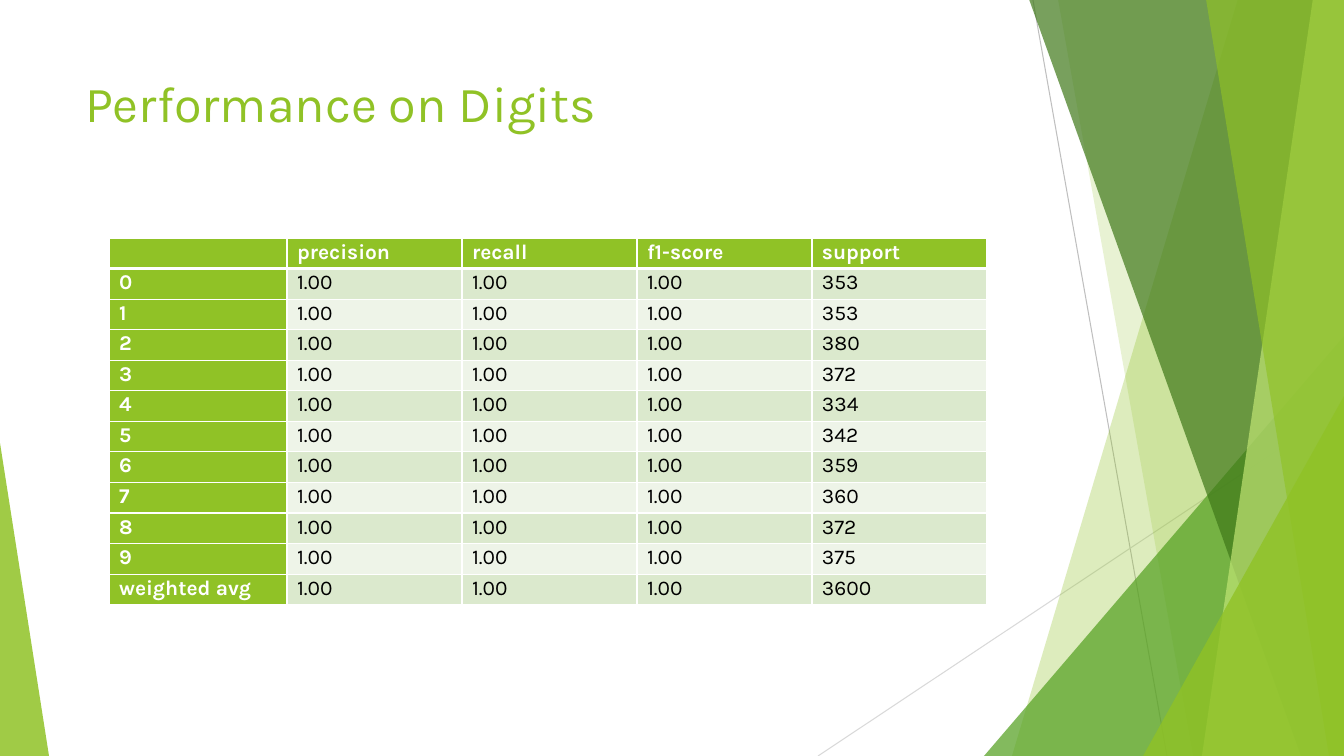
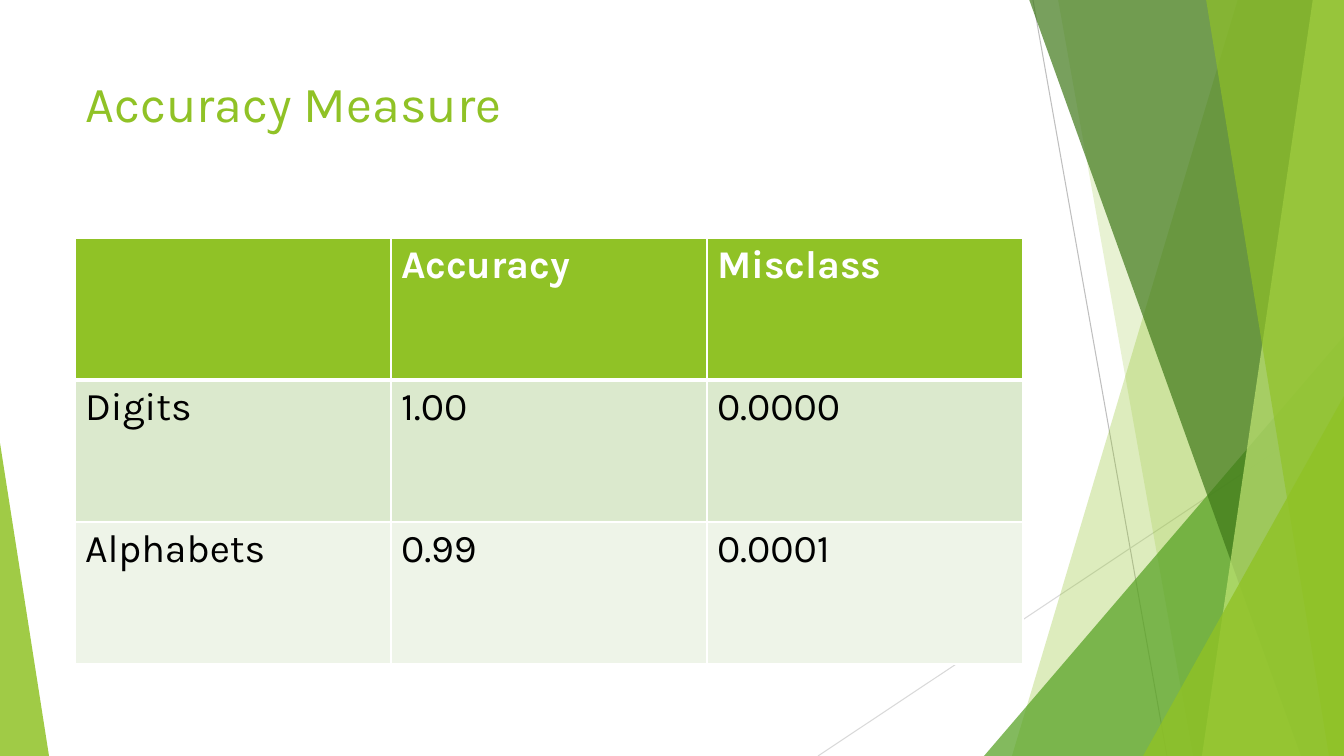
from dataclasses import dataclass

from lxml import etree
from pptx import Presentation
from pptx import util as u
from pptx.dml.color import RGBColor
from pptx.enum import shapes, text
from pptx.oxml.ns import qn

W, H = 1344, 756
SCALE = 12192000 / W  # EMU per px


@dataclass(frozen=True)
class Theme:
    font: str = "Karla"
    title_size: int = 36
    line_width: float = 0.75
    lime: str = "90C226"
    pale_lime: str = "C0E474"
    green: str = "54A021"
    dark_green: str = "3F7819"
    white: str = "FFFFFF"
    black: str = "000000"
    grey: str = "BFBFBF"
    light_grey: str = "D9D9D9"
    row_fills: tuple = ("DBE9CD", "EEF4E8")


T = Theme()


def px(n):
    return u.Emu(round(n * SCALE))


def add_run(p, words, size, color, bold=False):
    r = p.add_run()
    r.text = words
    r.font.name, r.font.size, r.font.bold = T.font, u.Pt(size), bold
    r.font.color.rgb = RGBColor.from_string(color)


prs = Presentation()
prs.slide_width, prs.slide_height = px(W), px(H)
layout = prs.slide_layouts[5]

# What each slide holds
supports = [353, 353, 380, 372, 334, 342, 359, 360, 372, 375]
digit_rows = [["", "precision", "recall", "f1-score", "support"]]
for label, support in [*enumerate(supports), ("weighted avg", sum(supports))]:
    digit_rows.append([str(label), "1.00", "1.00", "1.00", str(support)])
accuracy_rows = [
    ["", "Accuracy", "Misclass"],
    ["Digits", "1.00", "0.0000"],
    ["Alphabets", "0.99", "0.0001"],
]
# title, rows, left, column widths, table height, text size, dense with a label column
pages = [
    ("Performance on Digits", digit_rows, 109, [178] + [175] * 4, 367, 15, True),
    ("Accuracy Measure", accuracy_rows, 75, [316] * 3, 426, 28, False),
]
slides = [prs.slides.add_slide(layout) for _ in pages]

# Backdrop: drawn once, then moved to the shared layout
canvas = slides[0].shapes
backdrop = []
for x1, y1, x2, y2, color in [
    (1033, 0, 1167, H, T.grey),
    (W, 406, 818, H, T.light_grey),
]:
    line = canvas.add_connector(shapes.MSO_CONNECTOR.STRAIGHT, px(x1), px(y1), px(x2), px(y2))
    line.line.color.rgb = RGBColor.from_string(color)
    line.line.width = u.Pt(T.line_width)
    etree.SubElement(line.element.spPr, qn("a:effectLst"))
    backdrop.append(line)

# A band has its left edge's top and bottom x; a triangle has a box and its apex
for outline, color, alpha in [
    ((1238, 1012), T.lime, 30),
    ((1058, 1193), T.lime, 20),
    ((984, 336, 360, 420, 1), T.green, 72),
    ((1029, 1301), T.dark_green, 70),
    ((1313, 1202), T.pale_lime, 70),
    ((1206, 1329), T.lime, 65),
    ((1143, 396, 201, 360, 1), T.lime, 80),
    ((0, 443, 49, 313, 0), T.lime, 85),
]:
    if len(outline) == 2:
        top, bottom = outline
        builder = canvas.build_freeform(top, -1, scale=SCALE)
        builder.add_line_segments([(W, -1), (W, H), (bottom, H)], close=True)
        facet = builder.convert_to_shape()
    else:
        *box, apex = outline
        facet = canvas.add_shape(shapes.MSO_SHAPE.ISOSCELES_TRIANGLE, *map(px, box))
        facet.adjustments[0] = apex
    facet.shadow.inherit = False
    facet.line.fill.background()
    facet.fill.solid()
    facet.fill.fore_color.rgb = RGBColor.from_string(color)
    tint = next(facet.element.iter(qn("a:srgbClr")))
    etree.SubElement(tint, qn("a:alpha"), val=str(alpha * 1000))
    backdrop.append(facet)

for sp in backdrop:
    layout.shapes.element.append(sp.element)

for s, (title, rows, left, widths, height, size, dense) in zip(slides, pages):
    # Title
    sp = s.shapes.title
    sp.left, sp.top, sp.width, sp.height = px(75), px(67), px(948), px(145)
    tf = sp.text_frame
    tf.word_wrap = True
    tf.auto_size = text.MSO_AUTO_SIZE.NONE
    tf.vertical_anchor = text.MSO_ANCHOR.TOP
    p = tf.paragraphs[0]
    p.alignment = text.PP_ALIGN.LEFT
    add_run(p, title, T.title_size, T.lime)

    # Table
    frame = s.shapes.add_table(
        len(rows), len(widths), px(left), px(238), px(sum(widths)), px(height)
    )
    table = frame.table
    table.horz_banding = False
    table.first_col = dense
    for column, width in zip(table.columns, widths):
        column.width = px(width)
    for i, row in enumerate(rows):
        table.rows[i].height = px(height / len(rows))
        for j, words in enumerate(row):
            cell = table.cell(i, j)
            heading = i == 0 or (dense and j == 0)

            # White borders, thicker under the header
            tc_pr = cell._tc.get_or_add_tcPr()
            for side in ("L", "R", "T", "B"):
                thick = (i, side) in [(0, "B"), (1, "T")]
                ln = etree.SubElement(tc_pr, qn(f"a:ln{side}"), w=str(u.Pt(3 if thick else 1)))
                solid = etree.SubElement(ln, qn("a:solidFill"))
                etree.SubElement(solid, qn("a:srgbClr"), val=T.white)

            cell.fill.solid()
            fill = T.lime if heading else T.row_fills[(i - 1) % 2]
            cell.fill.fore_color.rgb = RGBColor.from_string(fill)

            p = cell.text_frame.paragraphs[0]
            if dense:
                cell.margin_top = cell.margin_bottom = 0
                p.line_spacing = 1.07
            if words:
                add_run(p, words, size, T.white if heading else T.black, heading)
            else:
                etree.SubElement(p._p, qn("a:endParaRPr"), sz=str(size * 100))

prs.save("out.pptx")
